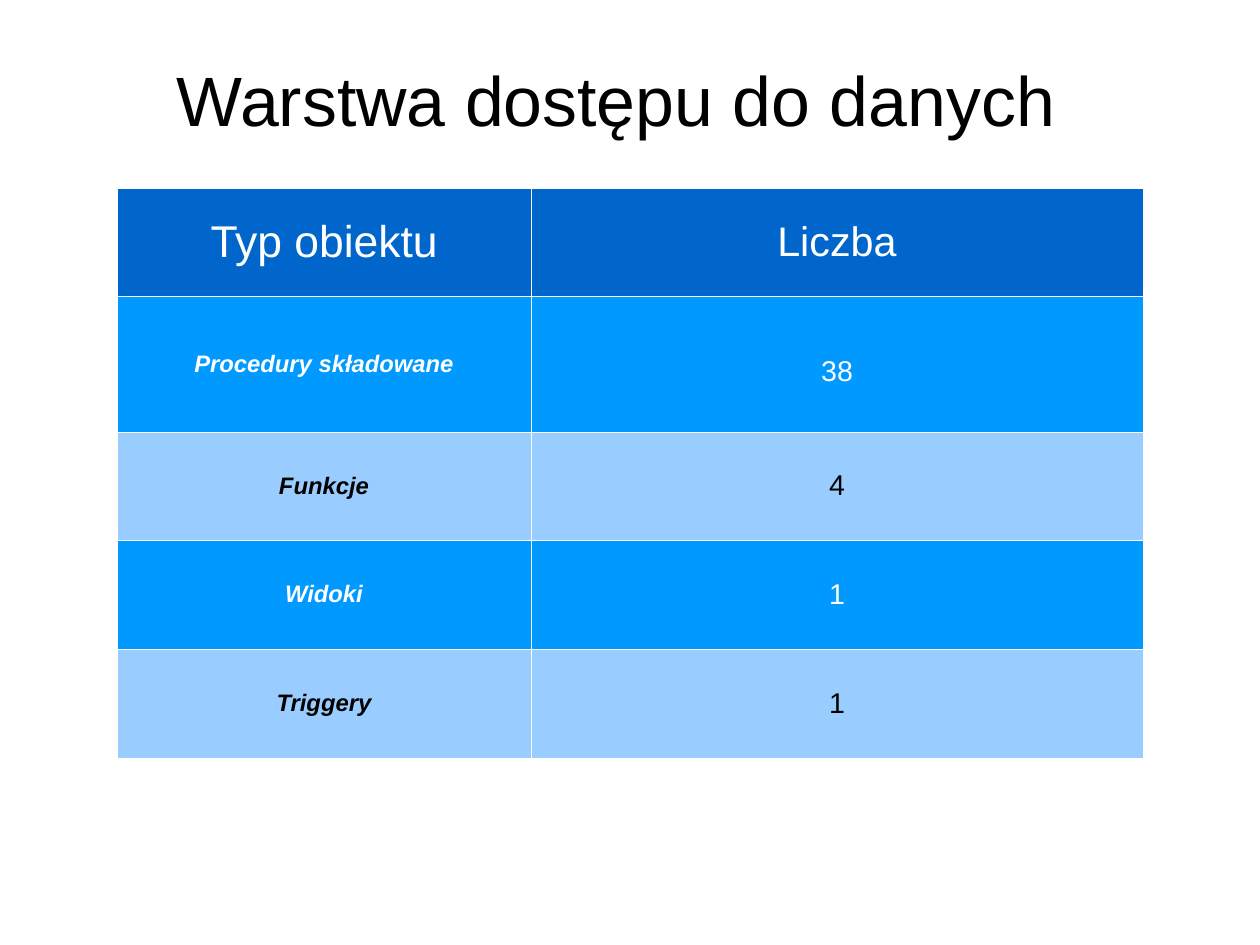
from pptx import Presentation, util as u
from pptx.dml.color import RGBColor
from pptx.enum import text
from pptx.oxml import parse_xml
from pptx.oxml.ns import nsdecls

TITLE = "Warstwa dostępu do danych"
ROWS = [
    ("Typ obiektu", "Liczba"),
    ("Procedury składowane", "38"),
    ("Funkcje", "4"),
    ("Widoki", "1"),
    ("Triggery", "1"),
]
COLUMN_WIDTHS = [414, 612]
ROW_HEIGHTS = [108, 136, 108, 109, 109]
EMU_PER_PX = 8000
SLIDE_SIZE = (1260, 945)
TITLE_BOX = (63, -18, 1107, 234)
TABLE_CORNER = (117, 188)
HEADER_COLORS = ("0066CC", "FFFFFF")
BODY_COLORS = [("0099FF", "FFFFFF"), ("99CCFF", "000000")]
HEADER_FONTS = [{"size": 28}, {"size": 26}]
BODY_FONTS = [{"size": 15, "bold": True, "italic": True}, {"size": 18}]
BORDER_COLOR, BORDER_WIDTH = "FFFFFF", 0.06


def px(value):
    return u.Emu(value * EMU_PER_PX)


def rgb(value):
    return RGBColor.from_string(value)


def write(frame, content, color, font):
    paragraph = frame.paragraphs[0]
    paragraph.alignment = text.PP_ALIGN.CENTER
    run = paragraph.add_run()
    run.text = content
    run.font.color.rgb = rgb(color)
    values = {"name": "Arial", "bold": False, "italic": False} | font
    values["size"] = u.Pt(values["size"])
    for name, value in values.items():
        setattr(run.font, name, value)


def add_borders(cell):
    properties = cell._tc.get_or_add_tcPr()
    for position, side in enumerate(("lnL", "lnR", "lnT", "lnB")):
        line = parse_xml(
            f'<a:{side} {nsdecls("a")} w="{u.Pt(BORDER_WIDTH)}"><a:solidFill>'
            f'<a:srgbClr val="{BORDER_COLOR}"/></a:solidFill></a:{side}>'
        )
        properties.insert(position, line)


def add_title(slide):
    title = slide.shapes.title
    title.left, title.top, title.width, title.height = map(px, TITLE_BOX)
    frame = title.text_frame
    values = {
        "margin_left": 0, "margin_top": 0, "margin_right": 0, "margin_bottom": 0,
        "word_wrap": True, "vertical_anchor": text.MSO_ANCHOR.MIDDLE,
        "auto_size": text.MSO_AUTO_SIZE.NONE,
    }
    for name, value in values.items():
        setattr(frame, name, value)
    write(frame, TITLE, "000000", {"size": 44})


def add_object_table(slide):
    size = (sum(COLUMN_WIDTHS), sum(ROW_HEIGHTS))
    table = slide.shapes.add_table(
        len(ROWS), len(COLUMN_WIDTHS), *map(px, TABLE_CORNER + size)
    ).table
    for column, width in zip(table.columns, COLUMN_WIDTHS):
        column.width = px(width)
    for row, height in zip(table.rows, ROW_HEIGHTS):
        row.height = px(height)
    for row_index, row in enumerate(ROWS):
        fill, color = BODY_COLORS[(row_index - 1) % 2] if row_index else HEADER_COLORS
        fonts = BODY_FONTS if row_index else HEADER_FONTS
        for column_index, content in enumerate(row):
            cell = table.cell(row_index, column_index)
            cell.fill.solid()
            cell.fill.fore_color.rgb = rgb(fill)
            cell.vertical_anchor = text.MSO_ANCHOR.MIDDLE
            write(cell.text_frame, content, color, fonts[column_index])
            add_borders(cell)
    table.cell(1, 1).text_frame.paragraphs[0].line_spacing = 1.5


def main():
    presentation = Presentation()
    presentation.slide_width, presentation.slide_height = map(px, SLIDE_SIZE)
    slide = presentation.slides.add_slide(presentation.slide_layouts[5])
    add_title(slide)
    add_object_table(slide)
    presentation.save("out.pptx")


if __name__ == "__main__":
    main()
